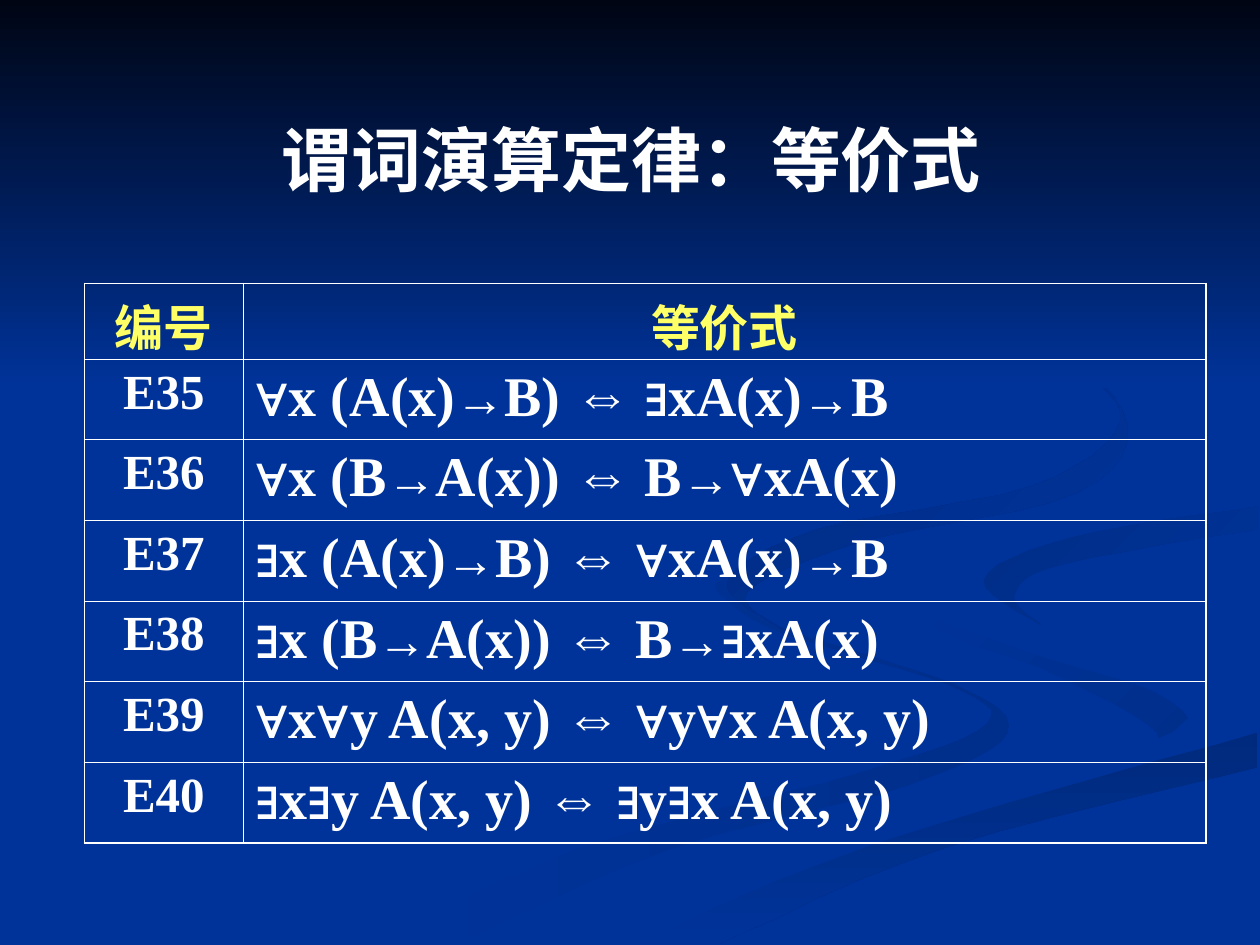
from itertools import groupby

from lxml.etree import SubElement
from pptx import Presentation
from pptx.dml.color import RGBColor
from pptx.enum.shapes import MSO_SHAPE as Preset
from pptx.enum.text import MSO_ANCHOR as Anchor, PP_ALIGN as Align
from pptx.oxml.ns import qn
from pptx.util import Inches, Pt

WHITE = RGBColor(0xFF, 0xFF, 0xFF)
YELLOW = RGBColor(0xFF, 0xFF, 0x66)
BLUE = RGBColor(0x00, 0x33, 0x99)
NIGHT = RGBColor(0x00, 0x05, 0x14)
SHADE_LEFT = RGBColor(0x00, 0x2E, 0x8B)
SHADE_LOW = RGBColor(0x00, 0x2A, 0x7D)
SHADE_RIGHT = RGBColor(0x00, 0x2D, 0x86)
SHADE_TOP = RGBColor(0x00, 0x2B, 0x82)
SERIF, SANS = "Times New Roman", "Arial"

TITLE = "谓词演算定律：等价式"
HEADINGS = ("编号", "等价式")
LAWS = [
    ("E35", "∀x (A(x)→B) ⇔ ∃xA(x)→B"),
    ("E36", "∀x (B→A(x)) ⇔ B→∀xA(x)"),
    ("E37", "∃x (A(x)→B) ⇔ ∀xA(x)→B"),
    ("E38", "∃x (B→A(x)) ⇔ B→∃xA(x)"),
    ("E39", "∀x∀y A(x, y) ⇔ ∀y∀x A(x, y)"),
    ("E40", "∃x∃y A(x, y) ⇔ ∃y∃x A(x, y)"),
]
SYMBOL_STYLES = {"→": (28, SERIF), "⇔": (32, SANS), "": (32, SERIF)}

RIBBONS = [
    (BLUE, SHADE_LEFT, 0, [
        [(575, 459), (570, 470), (620, 502), (752, 543), (784, 574), (684, 613),
         (458, 674), (300, 749)],
        [(361, 749), (532, 674), (721, 623), (800, 581), (757, 543), (614, 496),
         (575, 459)]]),
    (BLUE, SHADE_LEFT, 45, [
        [(724, 464), (758, 498), (870, 530), (943, 570), (894, 605)],
        [(894, 605), (918, 581), (838, 536), (746, 500), (724, 464)]]),
    (SHADE_LOW, BLUE, 90, [
        [(503, 749), (630, 693), (764, 647), (998, 581)],
        [(998, 609), (752, 672), (571, 749)]]),
    (BLUE, BLUE, 0, [
        [(999, 387), (808, 417), (725, 464), (793, 509), (943, 570), (743, 643),
         (477, 749)],
        [(503, 749), (696, 669), (999, 581)],
        [(999, 538), (832, 498), (781, 463), (850, 427), (999, 402)]]),
    (SHADE_RIGHT, BLUE, 45, [
        [(998, 402), (849, 427), (781, 460), (826, 496)],
        [(826, 496), (805, 472), (843, 448), (998, 420)]]),
    (SHADE_TOP, BLUE, 45, [
        [(762, 233), (846, 279), (889, 335), (818, 386), (649, 420), (577, 462),
         (622, 500)],
        [(622, 500), (593, 470), (683, 430), (855, 391), (890, 324), (762, 233)]]),
]
CURVE_STEPS = 6

TABLE_LEFT, TABLE_TOP = 0.67, 2.25
COLUMN_WIDTHS = (1.26, 7.64)
HEADING_HEIGHT, LAW_HEIGHT = 0.6, 0.64
OUTER_RULE, INNER_RULE = 1.08, 0.45


def smooth(edge):
    padded = [edge[0], *edge, edge[-1]]
    curve = [edge[0]]
    for before, start, end, after in zip(padded, padded[1:], padded[2:], padded[3:]):
        for step in range(1, CURVE_STEPS + 1):
            t = step / CURVE_STEPS
            curve.append(tuple(
                b + t * (c - a) / 2
                + t ** 2 * (2 * a - 5 * b + 4 * c - d) / 2
                + t ** 3 * (3 * b - a - 3 * c + d) / 2
                for a, b, c, d in zip(before, start, end, after)))
    return curve


def shade(shape, start, end, angle):
    shape.shadow.inherit = False
    shape.line.fill.background()
    if start == end:
        shape.fill.solid()
        shape.fill.fore_color.rgb = start
        return
    shape.fill.gradient()
    shape.fill.gradient_angle = -angle % 360
    for stop, position, color in zip(shape.fill.gradient_stops, (0, 1), (start, end)):
        stop.position = position
        stop.color.rgb = color


def draw_backdrop(slide, width):
    slide.background.fill.solid()
    slide.background.fill.fore_color.rgb = BLUE
    for start, end, angle, edges in RIBBONS:
        outline = [point for edge in edges for point in smooth(edge)]
        builder = slide.shapes.build_freeform(*outline[0], scale=Inches(0.01))
        builder.add_line_segments(outline[1:], close=True)
        shade(builder.convert_to_shape(), start, end, angle)
    sky = slide.shapes.add_shape(Preset.RECTANGLE, 0, 0, width, Inches(3.08))
    shade(sky, NIGHT, BLUE, 90)


def write(paragraph, text, size, color, font=SERIF):
    run = paragraph.add_run()
    run.text = text
    run.font.size, run.font.name, run.font.bold = Pt(size), font, True
    run.font.color.rgb = color


def rule_cell(cell, edges):
    properties = cell._tc.get_or_add_tcPr()
    for side, outer in edges:
        width = Pt(OUTER_RULE if outer else INNER_RULE)
        rule = SubElement(properties, qn(f"a:ln{side}"), w=str(int(width)))
        SubElement(SubElement(rule, qn("a:solidFill")), qn("a:srgbClr"), val=str(WHITE))
    cell.fill.background()


def add_laws(slide):
    rows = [HEADINGS, *LAWS]
    heights = [HEADING_HEIGHT] + [LAW_HEIGHT] * len(LAWS)
    table = slide.shapes.add_table(
        len(rows), len(HEADINGS), Inches(TABLE_LEFT), Inches(TABLE_TOP),
        Inches(sum(COLUMN_WIDTHS)), Inches(sum(heights))).table
    table.horz_banding = table.first_row = False
    for column, width in zip(table.columns, COLUMN_WIDTHS):
        column.width = Inches(width)
    for r, (row, height) in enumerate(zip(rows, heights)):
        table.rows[r].height = Inches(height)
        for c, text in enumerate(row):
            cell = table.cell(r, c)
            rule_cell(cell, [("L", c == 0), ("R", c == len(row) - 1),
                             ("T", r == 0), ("B", r == len(rows) - 1)])
            paragraph = cell.text_frame.paragraphs[0]
            if r and c:
                for symbol, part in groupby(text, lambda s: s if s in SYMBOL_STYLES else ""):
                    size, font = SYMBOL_STYLES[symbol]
                    write(paragraph, "".join(part), size, WHITE, font)
            else:
                paragraph.alignment = Align.CENTER
                write(paragraph, text, 28, WHITE if r else YELLOW)


def main():
    deck = Presentation()
    deck.slide_width, deck.slide_height = Inches(10), Inches(7.5)
    slide = deck.slides.add_slide(deck.slide_layouts[6])
    draw_backdrop(slide, deck.slide_width)
    title = slide.shapes.add_textbox(Inches(0.51), Inches(0.91), Inches(9), Inches(0.69))
    title.text_frame.word_wrap = True
    title.text_frame.vertical_anchor = Anchor.MIDDLE
    heading = title.text_frame.paragraphs[0]
    heading.alignment = Align.CENTER
    write(heading, TITLE, 40, WHITE)
    add_laws(slide)
    deck.save("out.pptx")


if __name__ == "__main__":
    main()
